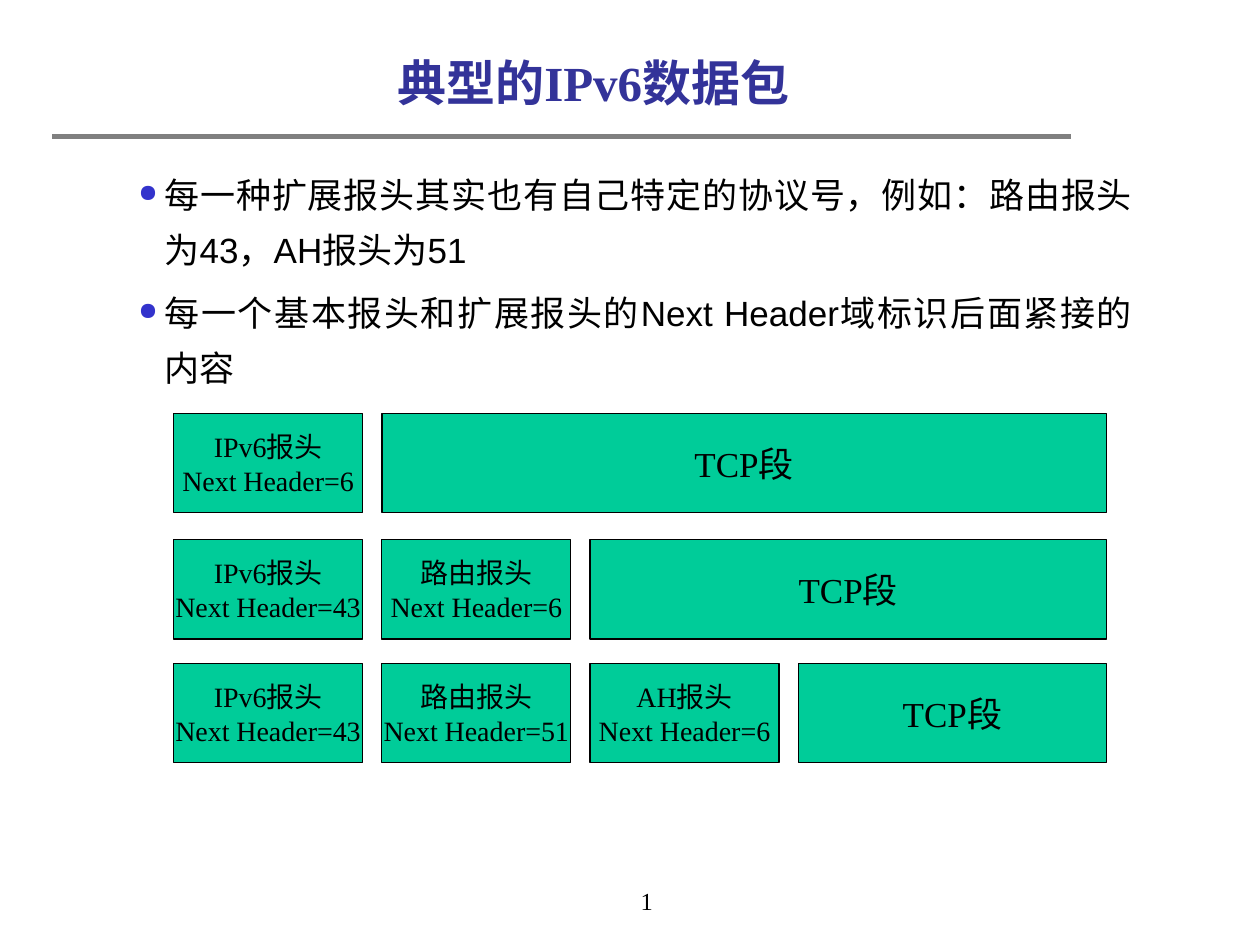
import lxml.etree
import pptx
import pptx.dml.color
import pptx.enum.shapes
import pptx.enum.text
import pptx.oxml
import pptx.oxml.ns
import pptx.util

Pt = pptx.util.Pt
ALIGN = pptx.enum.text.PP_ALIGN
ANCHOR = pptx.enum.text.MSO_ANCHOR
NS = pptx.oxml.ns.nsdecls("a")
COLORS = {
    "title": "333399",
    "bullet": "3333CC",
    "rule": "808080",
    "header": "00CC99",
    "ink": "000000",
    "shadow": "C0C0C0",
}


def rgb(name):
    return pptx.dml.color.RGBColor.from_string(COLORS[name])


def write(frame, lines, size, frame_format=None, paragraph_format=None,
          font="Times New Roman", color="ink", bold=False):
    for key, value in (frame_format or {}).items():
        setattr(frame, key, value)
    for index, line in enumerate(lines):
        paragraph = frame.paragraphs[0] if index == 0 else frame.add_paragraph()
        for key, value in (paragraph_format or {"alignment": ALIGN.CENTER}).items():
            setattr(paragraph, key, value)
        run = paragraph.add_run()
        run.text = line
        for key, value in {"size": Pt(size), "name": font, "bold": bold}.items():
            setattr(run.font, key, value)
        run.font.color.rgb = rgb(color)


deck = pptx.Presentation()
deck.slide_width, deck.slide_height = Pt(720), Pt(540)
slide = deck.slides.add_slide(deck.slide_layouts[6])
shapes = slide.shapes

rule = shapes.add_connector(
    pptx.enum.shapes.MSO_CONNECTOR.STRAIGHT, Pt(30), Pt(78), Pt(612), Pt(78))
rule.line.color.rgb = rgb("rule")
rule.line.width = Pt(3)
lxml.etree.SubElement(rule._element.spPr, pptx.oxml.ns.qn("a:effectLst"))

title = shapes.add_textbox(Pt(60), Pt(20), Pt(558), Pt(54)).text_frame
write(title, ["典型的IPv6数据包"], 28,
      {"word_wrap": True, "vertical_anchor": ANCHOR.MIDDLE},
      color="title", bold=True)
title_fill = title.paragraphs[0].runs[0].font._element.find(pptx.oxml.ns.qn("a:solidFill"))
title_fill.addnext(pptx.oxml.parse_xml(
    f'<a:effectLst {NS}><a:outerShdw blurRad="38100" dist="38100" dir="2700000">'
    f'<a:srgbClr val="{COLORS["shadow"]}"/></a:outerShdw></a:effectLst>'))

points = shapes.add_textbox(Pt(72), Pt(83.5), Pt(582), Pt(147)).text_frame
write(points, [
    "每一种扩展报头其实也有自己特定的协议号，例如：路由报头为43，AH报头为51",
    "每一个基本报头和扩展报头的Next Header域标识后面紧接的内容",
], 20, {"word_wrap": True, "margin_top": Pt(8.6)},
    {"alignment": ALIGN.JUSTIFY, "line_spacing": 1.3}, font="Arial")
points.paragraphs[1].space_before = Pt(5)
for point in points.paragraphs:
    properties = point._p.get_or_add_pPr()
    properties.set("marL", str(Pt(15)))
    properties.set("indent", str(Pt(-15)))
    for bullet_part in (
        f'<a:buClr {NS}><a:srgbClr val="{COLORS["bullet"]}"/></a:buClr>',
        f'<a:buSzPct {NS} val="70000"/>',
        f'<a:buChar {NS} char="●"/>',
    ):
        properties.append(pptx.oxml.parse_xml(bullet_part))

packets = [
    (236.2, [("IPv6报头", 6)]),
    (308.4, [("IPv6报头", 43), ("路由报头", 6)]),
    (379.1, [("IPv6报头", 43), ("路由报头", 51), ("AH报头", 6)]),
]
packet_left, packet_right = 99.2, 632.2
header_width, header_pitch, header_height = 108, 119, 56.8

for top, headers in packets:
    segments = [([name, f"Next Header={following}"], 16) for name, following in headers]
    segments.append((["TCP段"], 20))
    for column, (lines, size) in enumerate(segments):
        left = packet_left + column * header_pitch
        width = header_width if column < len(headers) else packet_right - left
        segment = shapes.add_shape(
            pptx.enum.shapes.MSO_SHAPE.RECTANGLE,
            Pt(left), Pt(top), Pt(width), Pt(header_height))
        segment.shadow.inherit = False
        segment.fill.solid()
        segment.fill.fore_color.rgb = rgb("header")
        segment.line.color.rgb = rgb("ink")
        segment.line.width = Pt(0.75)
        write(segment.text_frame, lines, size,
              {"word_wrap": False, "vertical_anchor": ANCHOR.MIDDLE})

page_number = shapes.add_textbox(Pt(247), Pt(502.5), Pt(228), Pt(37.5)).text_frame
write(page_number, ["1"], 14, {"word_wrap": True})
page_number.paragraphs[0]._p.get_or_add_pPr().set("marL", str(Pt(17)))

deck.save("out.pptx")
